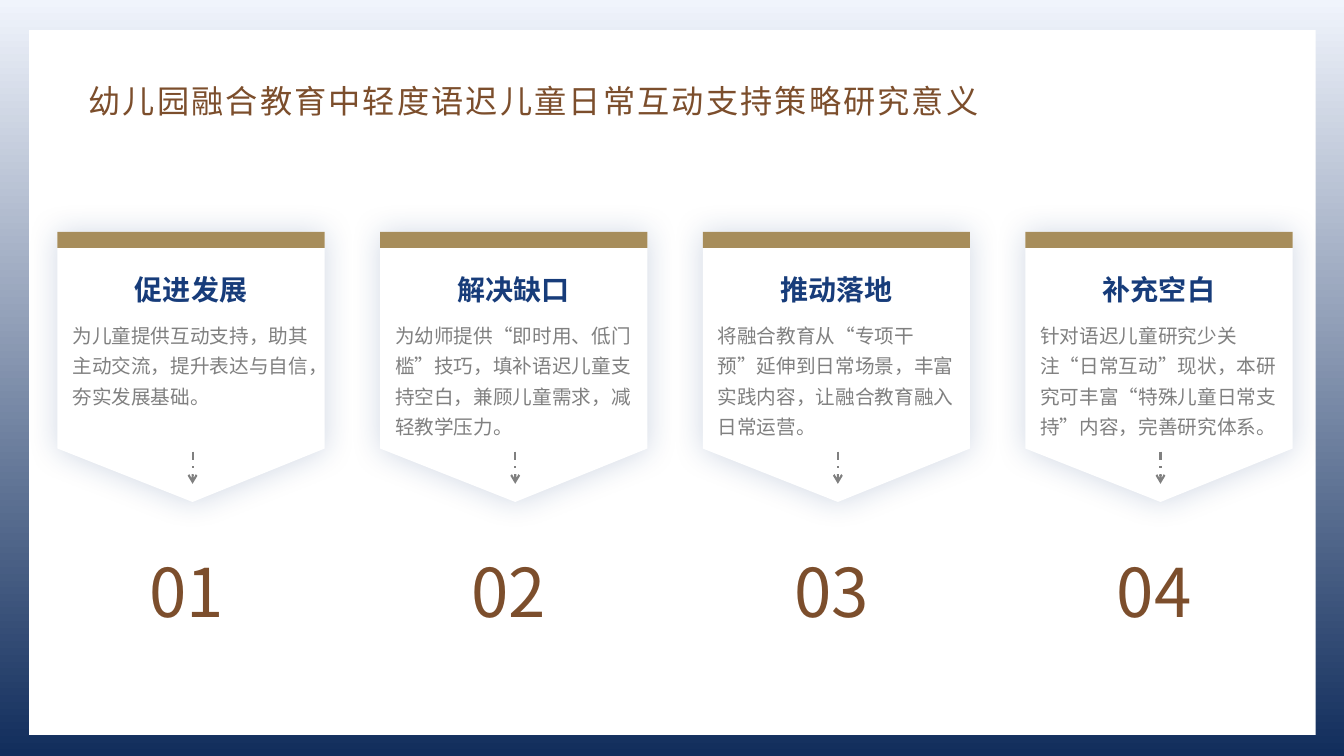
"""Builds a slide with four pennant cards on the meaning of a study."""
from lxml import etree
from pptx import Presentation, util as u
from pptx.dml.color import RGBColor
from pptx.enum import dml, shapes, text
from pptx.oxml import ns

TITLE = "幼儿园融合教育中轻度语迟儿童日常互动支持策略研究意义"
CARDS = [
    ("促进发展", "为儿童提供互动支持，助其主动交流，提升表达与自信，夯实发展基础。"),
    ("解决缺口", "为幼师提供“即时用、低门槛”技巧，填补语迟儿童支持空白，兼顾儿童需求，减轻教学压力。"),
    ("推动落地", "将融合教育从“专项干预”延伸到日常场景，丰富实践内容，让融合教育融入日常运营。"),
    ("补充空白", "针对语迟儿童研究少关注“日常互动”现状，本研究可丰富“特殊儿童日常支持”内容，完善研究体系。"),
]
FONT = "Noto Sans CJK SC"
NAVY, BROWN, GOLD, GREY, WHITE = "173C7A", "7C4E2C", "A78D5B", "808080", "FFFFFF"
SKY = ("F0F4FC", "112D5C")
LEFT, STEP, WIDE = 0.57, 3.2, 2.65
TOP, SIDE, TIP, BAND = 2.3, 4.45, 4.98, 0.16


def color(code):
    return RGBColor.from_string(code)


def child(node, tag, **attrs):
    return etree.SubElement(node, ns.qn(tag), attrs)


def inches(*sizes):
    return [u.Inches(size) for size in sizes]


def paint(shape, code):
    shape.shadow.inherit = False
    shape.fill.solid()
    shape.fill.fore_color.rgb = color(code)
    shape.line.fill.background()


def rect(x, y, w, h, code):
    box = slide.shapes.add_shape(shapes.MSO_SHAPE.RECTANGLE, *inches(x, y, w, h))
    paint(box, code)


def write(x, y, w, h, words, size, code, bold=None, center=False,
          lead=None, middle=False, gap=None):
    frame = slide.shapes.add_textbox(*inches(x, y, w, h)).text_frame
    frame.word_wrap = True
    if middle:
        frame.vertical_anchor = text.MSO_ANCHOR.MIDDLE
    para = frame.paragraphs[0]
    para.line_spacing = lead
    if center:
        para.alignment = text.PP_ALIGN.CENTER
    run = para.add_run()
    run.text = words
    font = run.font
    font.name, font.size, font.bold = FONT, u.Pt(size), bold
    font.color.rgb = color(code)
    props = run._r.get_or_add_rPr()
    props.set("lang", "zh-CN")
    if gap:
        props.set("spc", str(gap))
    child(props, "a:ea", typeface=FONT)


def pennant(x):
    end, mid = x + WIDE, x + 1.34
    pen = slide.shapes.build_freeform(*inches(x, TOP))
    edges = [(end, TOP), (end, SIDE), (mid, TIP), (x, SIDE)]
    pen.add_line_segments([inches(*edge) for edge in edges])
    card = pen.convert_to_shape()
    paint(card, WHITE)
    glow = child(card._element.spPr.find(ns.qn("a:effectLst")), "a:outerShdw",
                 blurRad=str(u.Pt(22)), dist="0", dir="0",
                 algn="ctr", rotWithShape="0")
    child(child(glow, "a:srgbClr", val=NAVY), "a:alpha", val="20000")


def arrow(x, top, end):
    line = slide.shapes.add_connector(
        shapes.MSO_CONNECTOR.STRAIGHT, *inches(x, top, x, end))
    line.line.color.rgb = color(GREY)
    line.line.width = u.Pt(1.5)
    line.line.dash_style = dml.MSO_LINE.DASH_DOT
    child(line.line._get_or_add_ln(), "a:tailEnd", type="arrow")
    child(line._element.spPr, "a:effectLst")


deck = Presentation()
deck.slide_width, deck.slide_height = inches(13.33, 7.5)
slide = deck.slides.add_slide(deck.slide_layouts[6])
back = slide.background.fill
back.gradient()
back.gradient_angle = 270
for stop, code, place in zip(back.gradient_stops, SKY, (0, 1)):
    stop.color.rgb = color(code)
    stop.position = place

rect(0.29, 0.3, 12.76, 6.99, WHITE)
write(0.78, 0.64, 11.13, 0.6, TITLE, 23, BROWN, lead=1.3, middle=True, gap=150)
for i, (head, body) in enumerate(CARDS):
    x = LEFT + i * STEP
    pennant(x)
    rect(x, TOP, WIDE, BAND, GOLD)
    arrow(x + 1.34, 4.48, 4.8)
    write(x + 0.18, 2.65, 2.29, 0.44, head, 20, NAVY, bold=True, center=True)
    write(x + 0.05, 3.09, WIDE, 1.32, body, 14, GREY, lead=1.3)
    write(x + 0.81, 5.41, 1.63, 0.91, f"{i + 1:02}", 48, BROWN)

deck.save("out.pptx")
